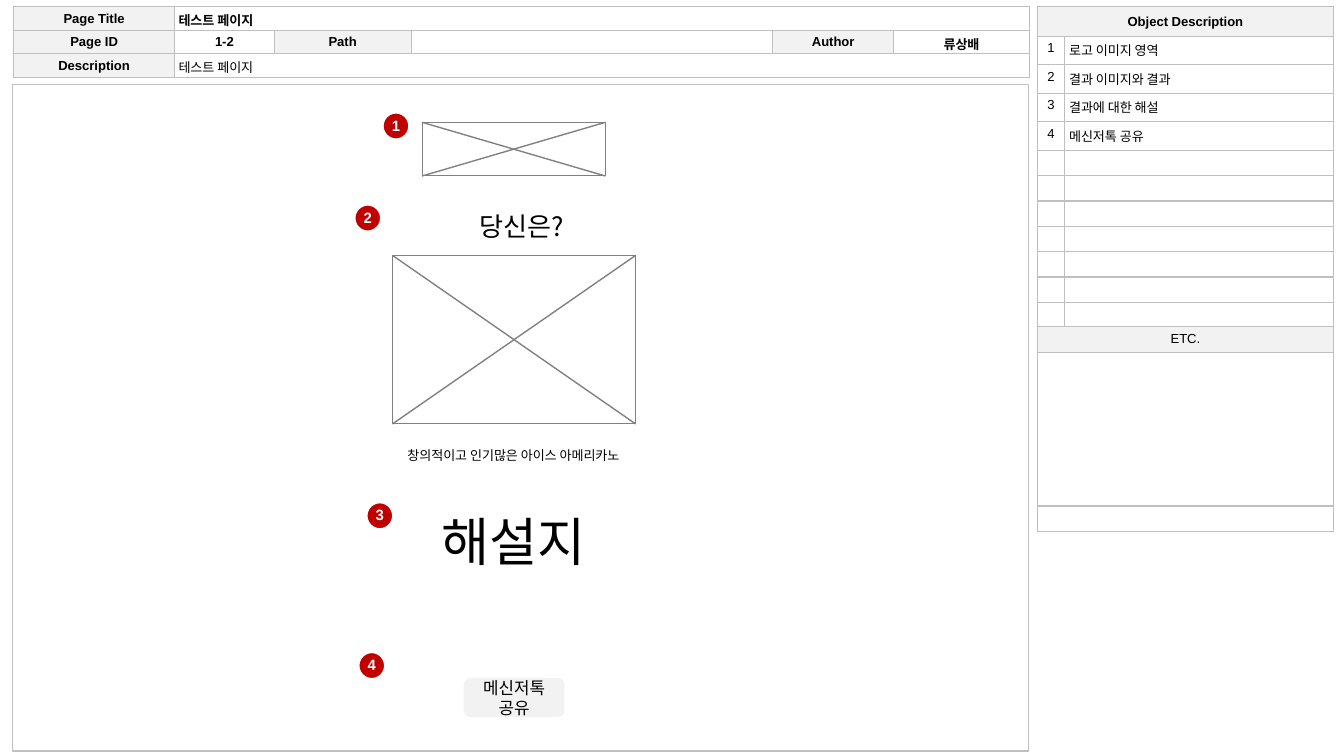
from dataclasses import dataclass

from lxml import etree
from pptx import Presentation
from pptx.dml.color import RGBColor
from pptx.enum.shapes import MSO_CONNECTOR, MSO_SHAPE
from pptx.enum.text import MSO_ANCHOR, PP_ALIGN
from pptx.oxml.ns import qn
from pptx.util import Inches, Pt

RECT, OVAL, ROUND = MSO_SHAPE.RECTANGLE, MSO_SHAPE.OVAL, MSO_SHAPE.ROUNDED_RECTANGLE
LINE = MSO_CONNECTOR.STRAIGHT
LEFT, MID = PP_ALIGN.LEFT, PP_ALIGN.CENTER
TOP, HALF = MSO_ANCHOR.TOP, MSO_ANCHOR.MIDDLE

BLACK = RGBColor(0x00, 0x00, 0x00)
WHITE = RGBColor(0xFF, 0xFF, 0xFF)
PALE = RGBColor(0xF2, 0xF2, 0xF2)
EDGE = RGBColor(0xBF, 0xBF, 0xBF)
GRAY = RGBColor(0x80, 0x80, 0x80)
RED = RGBColor(0xC0, 0x00, 0x00)
RIM = RGBColor(0xFE, 0xFE, 0xFE)

ARIAL, NOTO = "Arial", "Noto Sans CJK KR"
WIDE = Inches(10)
HIGH = WIDE * 9 // 16
UNIT = WIDE // 1000  # one column or row of the slide grid


@dataclass
class Box:
    """A place on the slide, in grid columns and rows."""
    x: float
    y: float
    w: float
    h: float

    def emu(self) -> list[int]:
        """Give left, top, width and height as lengths."""
        return [round(n * UNIT) for n in (self.x, self.y, self.w, self.h)]


@dataclass
class Cell:
    """Text and look of one table cell."""
    row: int
    col: int
    text: str = ""
    span: int = 1
    bold: bool = False
    align: PP_ALIGN = MID
    anchor: MSO_ANCHOR = HALF
    fill: RGBColor = WHITE


@dataclass
class Label:
    """A line of centred text."""
    box: Box
    text: str
    size: float
    font: str


def write(frame, text: str, *, size: float = 7, font: str = ARIAL, color=BLACK,
          bold: bool = False, align=MID, space: float = 1) -> None:
    """Put one formatted paragraph in a text frame."""
    para = frame.paragraphs[0]
    para.alignment, para.line_spacing = align, space
    run = para.add_run()
    run.text = text
    run.font.name, run.font.size, run.font.bold = font, Pt(size), bold
    run.font.color.rgb = color


def add_box(shapes, kind, box: Box, *, fill=None, line=None, width: float = 0.75):
    """Draw a preset shape with a plain fill and line."""
    shape = shapes.add_shape(kind, *box.emu())
    shape.shadow.inherit = False
    if fill is None:
        shape.fill.background()
    else:
        shape.fill.solid()
        shape.fill.fore_color.rgb = fill
    if line is None:
        shape.line.fill.background()
    else:
        shape.line.color.rgb, shape.line.width = line, Pt(width)
    return shape


def add_frame(slide, box: Box) -> None:
    """Draw an image frame with two diagonals, as a group."""
    shapes = slide.shapes.add_group_shape().shapes
    add_box(shapes, RECT, box, line=GRAY, width=0.5)
    x, y, w, h = box.emu()
    for start, end in ((x + w, x), (x, x + w)):
        line = shapes.add_connector(LINE, start, y, end, y + h)
        line.line.color.rgb, line.line.width = GRAY, Pt(0.75)
        etree.SubElement(line._element.spPr, qn("a:effectLst"))


def add_badge(slide, num: int, x: float, y: float) -> None:
    """Draw a numbered red disc."""
    disc = add_box(slide.shapes, OVAL, Box(x, y, 19.3, 19.5), fill=RED, line=RIM)
    frame = disc.text_frame
    frame.margin_left = frame.margin_right = frame.margin_top = frame.margin_bottom = 0
    frame.vertical_anchor = HALF
    write(frame, str(num), size=8, color=WHITE, bold=True, space=0.95)


def add_label(slide, label: Label) -> None:
    """Draw a text box."""
    frame = slide.shapes.add_textbox(*label.box.emu()).text_frame
    frame.word_wrap = True
    write(frame, label.text, size=label.size, font=label.font)


def edge_cell(cell) -> None:
    """Give a cell four thin borders."""
    props = cell._tc.get_or_add_tcPr()
    for side in ("a:lnL", "a:lnR", "a:lnT", "a:lnB"):
        line = etree.SubElement(props, qn(side), w=str(Pt(0.75)))
        fill = etree.SubElement(line, qn("a:solidFill"))
        etree.SubElement(fill, qn("a:srgbClr"), val=str(EDGE))


def add_grid(slide, x: float, y: float, cols: list[float], rows: list[float],
             cells: list[Cell], pad: float) -> None:
    """Draw a table from column widths, row heights and cells."""
    box = Box(x, y, sum(cols), sum(rows))
    table = slide.shapes.add_table(len(rows), len(cols), *box.emu()).table
    table.first_row = table.horz_banding = False
    for part, size in zip(table.columns, cols):
        part.width = round(size * UNIT)
    for part, size in zip(table.rows, rows):
        part.height = round(size * UNIT)
    for cell in table.iter_cells():
        edge_cell(cell)
        cell.fill.solid()
        cell.fill.fore_color.rgb = WHITE
        cell.margin_left = cell.margin_right = round(pad * UNIT)
        cell.margin_top = cell.margin_bottom = round(pad * UNIT)
        cell.text_frame.paragraphs[0]._p.get_or_add_endParaRPr().set("sz", "600")
    for item in cells:
        cell = table.cell(item.row, item.col)
        if item.span > 1:
            cell.merge(table.cell(item.row, item.col + item.span - 1))
        cell.fill.fore_color.rgb = item.fill
        cell.vertical_anchor = item.anchor
        if item.text:
            write(cell.text_frame, item.text, bold=item.bold, align=item.align)


def head(row: int, col: int, text: str) -> Cell:
    """Make a shaded heading cell."""
    return Cell(row, col, text, bold=True, fill=PALE)


NOTES = ["로고 이미지 영역", "결과 이미지와 결과", "결과에 대한 해설", "메신저톡 공유"]
SIDE = [Cell(0, 0, "Object Description", span=2, bold=True, fill=PALE)]
for num, note in enumerate(NOTES, 1):
    SIDE += [Cell(num, 0, str(num), anchor=TOP),
             Cell(num, 1, note, align=LEFT, anchor=TOP)]
SIDE += [Cell(12, 0, "ETC.", span=2, anchor=TOP, fill=PALE),
         Cell(13, 0, span=2), Cell(14, 0, span=2)]

INFO = [
    head(0, 0, "Page Title"),
    Cell(0, 1, "테스트 페이지", span=5, bold=True, align=LEFT),
    head(1, 0, "Page ID"), Cell(1, 1, "1-2", bold=True),
    head(1, 2, "Path"),
    head(1, 4, "Author"), Cell(1, 5, "류상배", bold=True),
    head(2, 0, "Description"),
    Cell(2, 1, "테스트 페이지", span=5, align=LEFT),
]
LABELS = [
    Label(Box(138, 151.5, 500, 34), "당신은?", 14, NOTO),
    Label(Box(132, 328, 500, 22), "창의적이고 인기많은 아이스 아메리카노", 7, NOTO),
    Label(Box(132, 374, 500, 57), "해설지", 28, ARIAL),
]
FRAMES = [Box(292, 190, 181, 125.5), Box(314, 91, 136.5, 40)]
BADGES = [(285, 84), (264, 152.5), (273, 374), (267, 485.5)]

deck = Presentation()
deck.slide_width, deck.slide_height = WIDE, HIGH
page = deck.slides.add_slide(deck.slide_layouts[6])

add_box(page.shapes, RECT, Box(9.3, 63, 756, 496), fill=WHITE, line=EDGE)
add_grid(page, 772, 5, [20, 200],
         [22] + [21.2] * 4 + [18.9] * 6 + [18, 19, 114.5, 18.7], SIDE, 3.5)
for place in FRAMES:
    add_frame(page, place)
for label in LABELS:
    add_label(page, label)
share = add_box(page.shapes, ROUND, Box(345, 504.5, 75, 29), fill=PALE)
share.text_frame.word_wrap = True
share.text_frame.vertical_anchor = HALF
write(share.text_frame, "메신저톡 공유", size=9)
for num, (left, top) in enumerate(BADGES, 1):
    add_badge(page, num, left, top)
add_grid(page, 10, 5, [120, 74, 102, 269, 90, 101], [17.5] * 3, INFO, 2.9)

deck.save("out.pptx")
